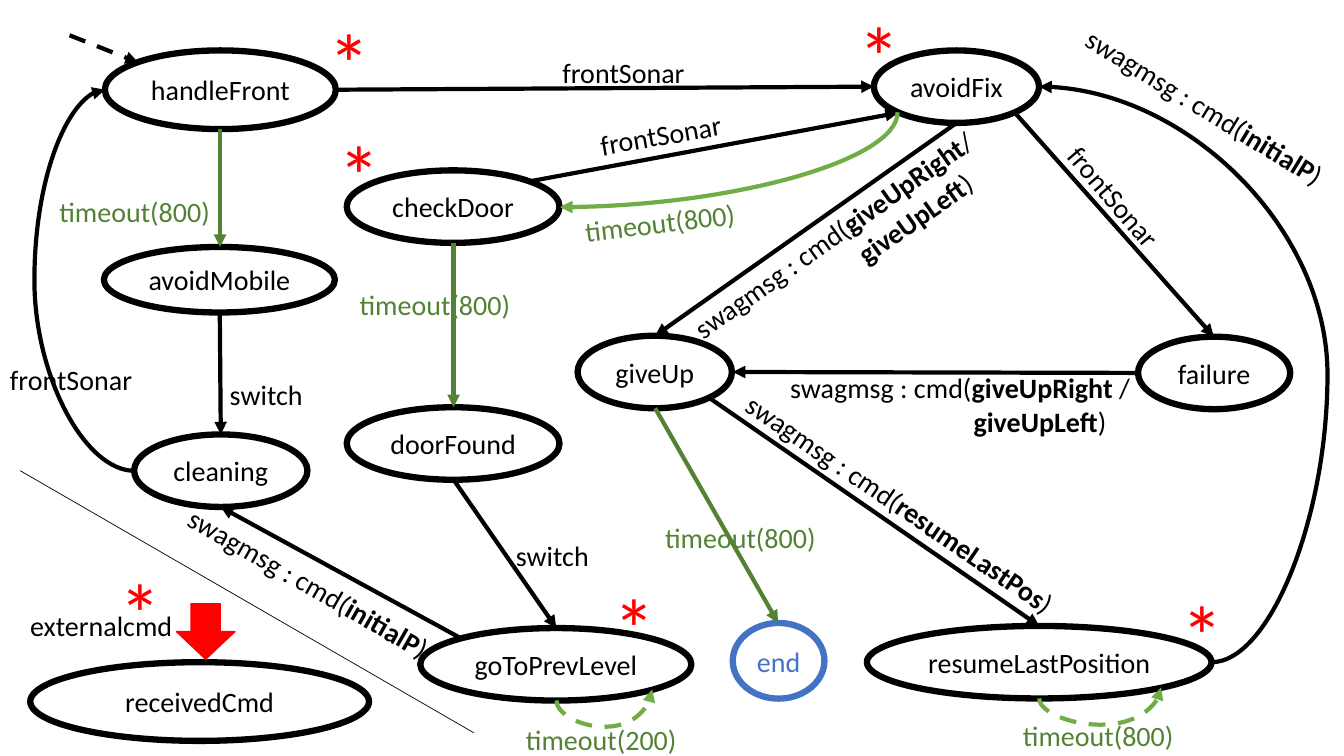
"""Draw the state diagram of the robot controller on one slide."""
from lxml import etree
from pptx import Presentation
from pptx.dml.color import RGBColor
from pptx.enum import dml, shapes, text
from pptx.oxml import ns
from pptx.util import Pt

BLACK = RGBColor(0x00, 0x00, 0x00)
RED = RGBColor(0xFF, 0x00, 0x00)
BLUE = RGBColor(0x44, 0x72, 0xC4)
DARK_GREEN = RGBColor(0x54, 0x82, 0x35)
GREEN = RGBColor(0x70, 0xAD, 0x47)
BODY = {"name": "Calibri", "size": Pt(20)}
STAR = {"name": "Calibri", "size": Pt(60)}


def add_run(paragraph, words, colour, formats, bold=False):
    run = paragraph.add_run()
    run.text = words
    run.font.color.rgb = colour
    for attribute, value in {**formats, "bold": bold}.items():
        setattr(run.font, attribute, value)


def style_arrow(arrow, colour, weight=3, dashed=False, head=True):
    arrow.line.color.rgb = colour
    arrow.line.width = Pt(weight)
    if dashed:
        arrow.line.dash_style = dml.MSO_LINE.DASH
    if head:
        etree.SubElement(arrow.line._get_or_add_ln(), ns.qn("a:tailEnd"), type="triangle")
    etree.SubElement(arrow._element.spPr, ns.qn("a:effectLst"))


deck = Presentation()
deck.slide_width, deck.slide_height = Pt(960), Pt(540)
canvas = deck.slides.add_slide(deck.slide_layouts[6]).shapes

states = [
    ("handleFront", 74.9, 36, 165, 56.2, BLACK),
    ("avoidFix", 624.2, 36, 118, 51.8, BLACK),
    ("cleaning", 95.8, 310.3, 123.8, 51.8, BLACK),
    ("avoidMobile", 74.2, 176.4, 165, 46.8, BLACK),
    ("failure", 812.9, 240.5, 108.7, 51.8, BLACK),
    ("doorFound", 247.7, 290.9, 152, 51.8, BLACK),
    ("goToPrevLevel", 300.2, 448.6, 193.7, 51.8, BLACK),
    ("giveUp", 412.6, 239.8, 110.2, 51.8, BLACK),
    ("resumeLastPosition", 619.2, 447.1, 246.2, 51.8, BLACK),
    ("checkDoor", 247.7, 121.7, 152, 51.8, BLACK),
    ("receivedCmd", 21.6, 473, 242, 56.2, BLACK),
    ("end", 523.4, 445, 65.5, 54, BLUE),
]
for name, left, top, width, height, colour in states:
    state = canvas.add_shape(shapes.MSO_SHAPE.OVAL, Pt(left), Pt(top), Pt(width), Pt(height))
    state.shadow.inherit = False
    state.fill.background()
    state.line.color.rgb = colour
    state.line.width = Pt(4.5)
    state.text_frame.word_wrap = False
    state.text_frame.vertical_anchor = text.MSO_ANCHOR.MIDDLE
    caption = state.text_frame.paragraphs[0]
    caption.alignment = text.PP_ALIGN.CENTER
    add_run(caption, name, colour, BODY)

transitions = [
    (683.3, 87.8, 468, 239.8, BLACK),
    (157, 223.2, 157.7, 310.3, BLACK),
    (157.2, 92.2, 157.2, 176.4, DARK_GREEN),
    (239.4, 64.1, 624.2, 61.9, BLACK),
    (725, 80.6, 867, 240.5, BLACK),
    (324, 173.5, 324, 290.9, DARK_GREEN),
    (324, 342.7, 397.4, 448.6, BLACK),
    (506.9, 284.4, 742.3, 447.1, BLACK),
    (378, 129.6, 641.5, 80.6, BLACK),
    (812.9, 266.4, 523.4, 265.7, BLACK),
    (468, 291.6, 555.8, 445, DARK_GREEN),
    (329, 455.8, 157.7, 362.2, BLACK),
]
for *ends, colour in transitions:
    transition = canvas.add_connector(shapes.MSO_CONNECTOR.STRAIGHT, *map(Pt, ends))
    style_arrow(transition, colour)

divider = canvas.add_connector(
    shapes.MSO_CONNECTOR.STRAIGHT, Pt(14.4), Pt(336.2), Pt(338.4), Pt(523.4))
style_arrow(divider, BLACK, weight=0.5, head=False)
entry = canvas.add_connector(
    shapes.MSO_CONNECTOR.STRAIGHT, Pt(49.7), Pt(25.2), Pt(98.6), Pt(44.6))
style_arrow(entry, BLACK, dashed=True)

# left, top, width, height, turn, flipped, bend in percent, colour, dashed
loops = [
    (781.9, 451.4, 7.9, 87.1, 90, True, -237.3, GREEN, True),
    (427.7, 462.2, 7.9, 68.4, 90, True, -237.3, GREEN, True),
    (486.7, -6.5, 67.7, 241.2, 90, False, None, GREEN, False),
    (742.3, 61.9, 123.1, 411.1, 0, True, -67.3, BLACK, False),
    (74.9, 64.1, 21.2, 272.2, 180, False, 337.4, BLACK, False),
]
for left, top, width, height, turn, flipped, bend, colour, dashed in loops:
    corners = [(left, top), (left + width, top + height)]
    start, finish = reversed(corners) if flipped else corners
    loop = canvas.add_connector(shapes.MSO_CONNECTOR.CURVE, *map(Pt, (*start, *finish)))
    loop._element.spPr.find(ns.qn("a:xfrm")).set("rot", str(turn * 60000))
    geometry = loop._element.spPr.find(ns.qn("a:prstGeom"))
    if bend is None:
        geometry.set("prst", "curvedConnector2")
    else:
        guides = geometry.find(ns.qn("a:avLst"))
        if guides is None:
            guides = etree.SubElement(geometry, ns.qn("a:avLst"))
        etree.SubElement(guides, ns.qn("a:gd"), name="adj1", fmla=f"val {bend * 1000:.0f}")
    style_arrow(loop, colour, dashed=dashed)

command = canvas.add_shape(shapes.MSO_SHAPE.DOWN_ARROW, Pt(126), Pt(431.3), Pt(41.8), Pt(39.6))
command.shadow.inherit = False
command.fill.solid()
command.fill.fore_color.rgb = RED
command.line.color.rgb = RED
command.line.width = Pt(1)

SWAG = "swagmsg : cmd("
labels = [
    (157, 266.4, 71.3, 0, BLACK, ["switch"]),
    (361.4, 380.9, 79.9, 0, BLACK, ["switch"]),
    (35.3, 135.4, 130.3, 0, DARK_GREEN, ["timeout(800)"]),
    (249.8, 201.6, 126, 0, DARK_GREEN, ["timeout(800)"]),
    (410.4, 142.6, 131, 353.2, DARK_GREEN, ["timeout(800)"]),
    (723.6, 509.8, 124.6, 0, DARK_GREEN, ["timeout(800)"]),
    (468, 367.9, 123.1, 0, DARK_GREEN, ["timeout(800)"]),
    (368.6, 512.6, 126, 0, DARK_GREEN, ["timeout(200)"]),
    (394.6, 36, 109.4, 0, BLACK, ["frontSonar"]),
    (421.2, 79.9, 109.4, 350.2, BLACK, ["frontSonar"]),
    (744.5, 125.3, 103, 49.4, BLACK, ["frontSonar"]),
    (0, 255.6, 109.4, 0, BLACK, ["frontSonar"]),
    (14.4, 431.3, 118.8, 0, BLACK, ["externalcmd"]),
    (115.9, 403.2, 217.4, 29.8, BLACK, [SWAG, "initialP", ")"]),
    (756, 63.4, 217.4, 31.4, BLACK, [SWAG, "initialP", ")"]),
    (505.4, 344.9, 277.2, 34.3, BLACK, [SWAG, "resumeLastPos", ")"]),
    (475.2, 147.6, 260, 324.7, BLACK, [SWAG, "giveUpRight", "/"], 126),
    (557.3, 261.4, 257.8, 0, BLACK, [SWAG, "giveUpRight ", "/"], 131),
]
for left, top, width, turn, colour, parts, *indent in labels:
    height = 55.4 if indent else 31.5
    label = canvas.add_textbox(Pt(left), Pt(top), Pt(width), Pt(height))
    label.rotation = turn
    label.text_frame.word_wrap = True
    message = label.text_frame.paragraphs[0]
    for position, words in enumerate(parts):
        add_run(message, words, colour, BODY, bold=position == 1)
    for margin in indent:
        alternative = label.text_frame.add_paragraph()
        alternative._p.get_or_add_pPr().set("marL", str(Pt(margin)))
        add_run(alternative, "giveUpLeft", colour, BODY, bold=True)
        add_run(alternative, ")", colour, BODY)

stars = [(227.5, 4.3), (78.5, 396.7), (836.6, 412.6), (606.2, -0.7), (431.3, 407.5), (234.7, 84.2)]
for left, top in stars:
    star = canvas.add_textbox(Pt(left), Pt(top), Pt(36), Pt(80))
    star.text_frame.word_wrap = True
    add_run(star.text_frame.paragraphs[0], "*", RED, STAR)

deck.save("out.pptx")
